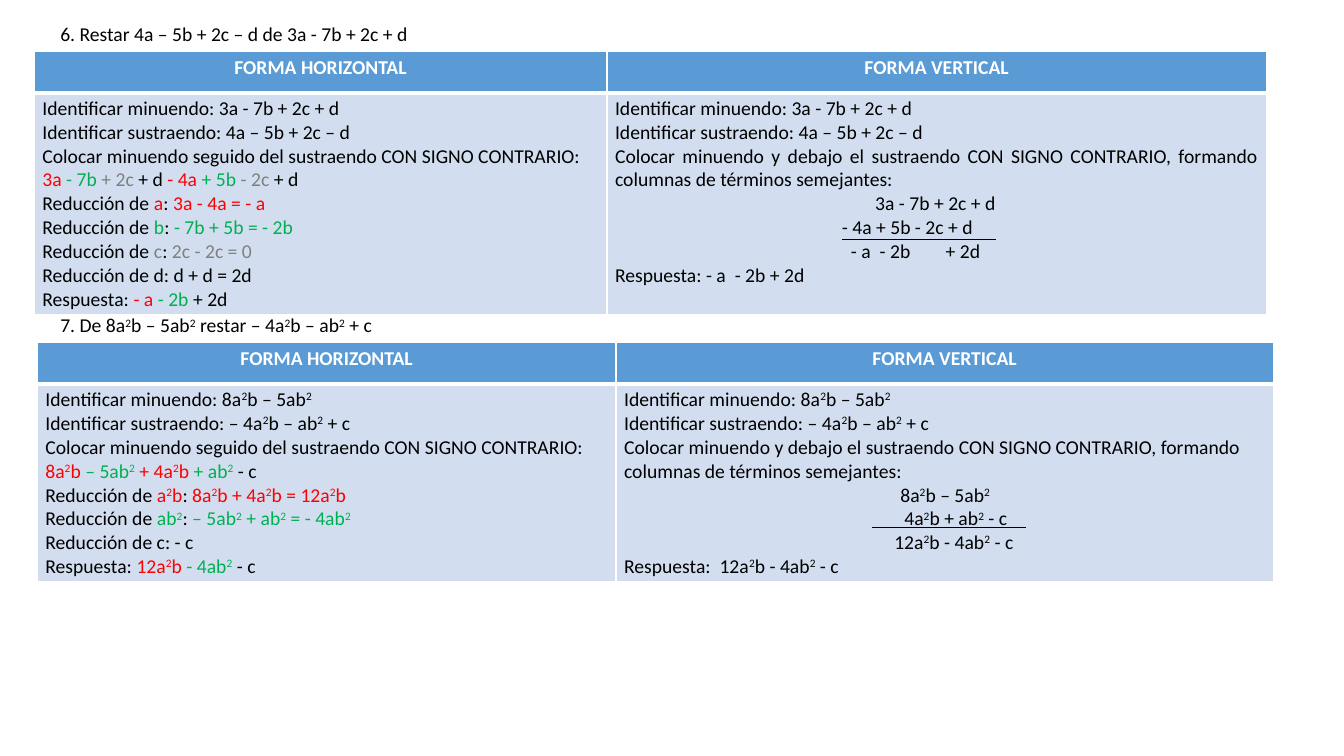
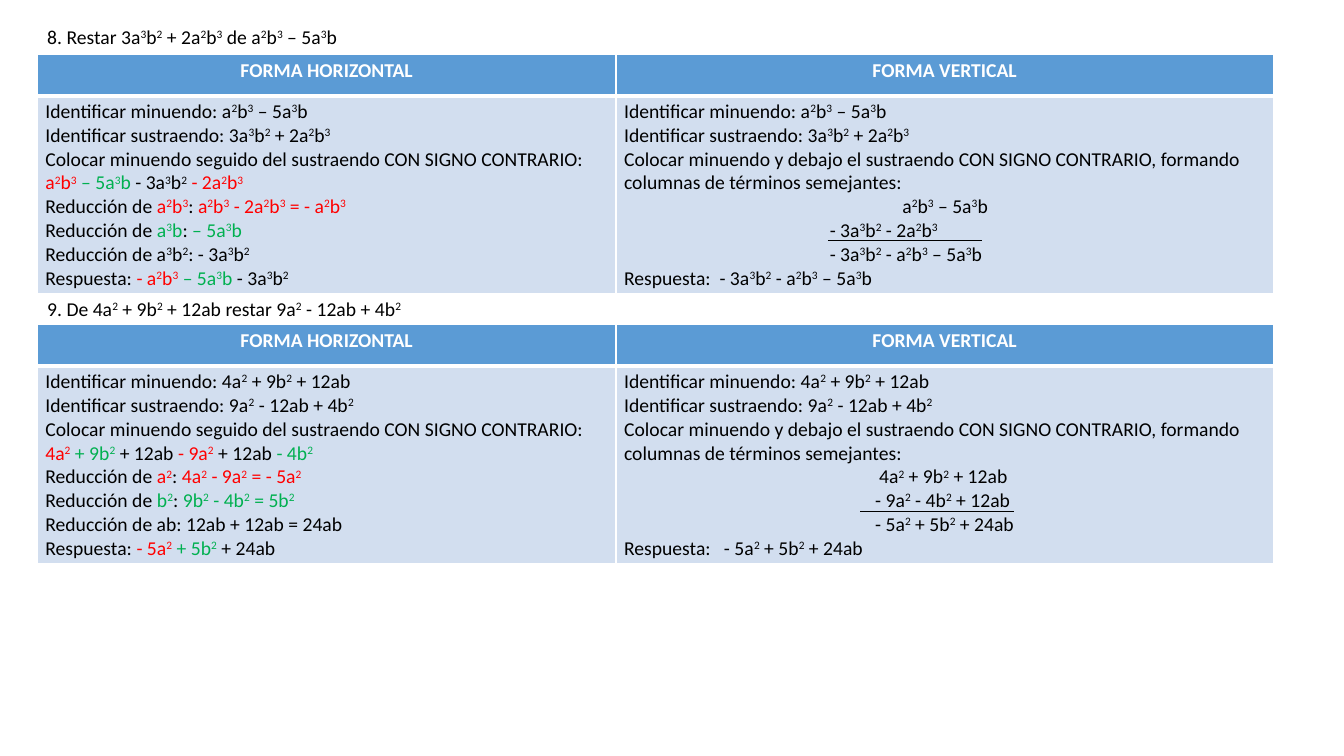
import pptx
import pptx.dml.color
import pptx.enum.text
import pptx.oxml
import pptx.oxml.ns
import pptx.util

Inches, Pt = pptx.util.Inches, pptx.util.Pt
RGBColor = pptx.dml.color.RGBColor
ALIGN = pptx.enum.text.PP_ALIGN

BLACK = RGBColor(0x00, 0x00, 0x00)
WHITE = RGBColor(0xFF, 0xFF, 0xFF)
RED = RGBColor(0xFF, 0x00, 0x00)
GREEN = RGBColor(0x00, 0xB0, 0x50)
GREY = RGBColor(0x80, 0x80, 0x80)
HEADER_FILL = RGBColor(0x5B, 0x9B, 0xD5)
BODY_FILL = RGBColor(0xD2, 0xDE, 0xEF)

FONT = {"name": "Calibri", "size": Pt(14)}
CELL_MARGINS = {
    "margin_left": Inches(0.08), "margin_right": Inches(0.08),
    "margin_top": Inches(0.04), "margin_bottom": Inches(0.03),
}
HEADERS = ["FORMA HORIZONTAL", "FORMA VERTICAL"]
HEADER_H = 0.41
RULE_W = 1.53

# Markup: [red], {green}, <grey>, and ^ before a superscript digit.
OPENING = {"[": RED, "{": GREEN, "<": GREY}
CLOSING = "]}>"

# Each line of "work" is its text and the tab stops, from the cell's text edge.
SLIDES = [
    [
        {
            "title": "6. Restar 4a – 5b + 2c – d de 3a - 7b + 2c + d",
            "title_box": (0.5, 0.17, 11.5, 0.34),
            "table": (0.34, 0.51), "cols": (5.68, 6.54), "body_h": 2.2,
            "justify": True,
            "minuend": "3a - 7b + 2c + d",
            "subtrahend": "4a – 5b + 2c – d",
            "joined": "[3a ]{- 7b }<+ 2c >+ d [- 4a ]{+ 5b }<- 2c >+ d",
            "reductions": [
                "[a]: [3a - 4a = - a]",
                "{b}: {- 7b + 5b = - 2b}",
                "<c>: <2c - 2c = 0>",
                "d: d + d = 2d",
            ],
            "answer": "[- a ]{- 2b }+ 2d",
            "work": [
                ("\t3a - 7b + 2c + d", [2.58]),
                ("\t- 4a + 5b - 2c + d", [2.25]),
                ("\t- a  - 2b\t+ 2d", [2.34, 3.28]),
            ],
            "vertical_answer": "- a  - 2b + 2d",
            "rule": (8.35, 2.37),
        },
        {
            "title": "7. De 8a^2b – 5ab^2 restar – 4a^2b – ab^2 + c",
            "title_box": (0.5, 3.06, 10.67, 0.34),
            "table": (0.37, 3.4), "cols": (5.74, 6.52), "body_h": 1.96,
            "minuend": "8a^2b – 5ab^2",
            "subtrahend": "– 4a^2b – ab^2 + c",
            "joined": "[8a^2b ]{– 5ab^2 }[+ 4a^2b ]{+ ab^2 }- c",
            "reductions": [
                "[a^2b]: [8a^2b + 4a^2b = 12a^2b]",
                "{ab^2}: {– 5ab^2 + ab^2 = - 4ab^2}",
                "c: - c",
            ],
            "answer": "[12a^2b ]{- 4ab^2 }- c",
            "work": [
                ("\t8a^2b – 5ab^2", [2.74]),
                ("\t4a^2b + ab^2 - c", [2.78]),
                ("\t12a^2b - 4ab^2 - c", [2.68]),
            ],
            "vertical_answer": " 12a^2b - 4ab^2 - c",
            "rule": (8.65, 5.23),
        },
    ],
    [
        {
            "title": "8. Restar 3a^3b^2 + 2a^2b^3 de a^2b^3 – 5a^3b",
            "title_box": (0.37, 0.2, 3.16, 0.34),
            "table": (0.37, 0.54), "cols": (5.74, 6.52), "body_h": 1.96,
            "minuend": "a^2b^3 – 5a^3b",
            "subtrahend": "3a^3b^2 + 2a^2b^3",
            "joined": "[a^2b^3 ]{– 5a^3b }- 3a^3b^2 [- 2a^2b^3]",
            "reductions": [
                "[a^2b^3]: [a^2b^3 - 2a^2b^3 = - a^2b^3]",
                "{a^3b}: {– 5a^3b}",
                "a^3b^2: - 3a^3b^2",
            ],
            "answer": "[- a^2b^3 ]{– 5a^3b }- 3a^3b^2",
            "work": [
                ("\ta^2b^3 – 5a^3b", [2.76]),
                ("\t- 3a^3b^2 - 2a^2b^3", [2.04]),
                ("\t- 3a^3b^2 - a^2b^3 – 5a^3b", [2.04]),
            ],
            "vertical_answer": " - 3a^3b^2 - a^2b^3 – 5a^3b",
            "rule": (8.21, 2.38),
        },
        {
            "title": "9. De 4a^2 + 9b^2 + 12ab restar 9a^2 - 12ab + 4b^2",
            "title_box": (0.37, 2.9, 3.77, 0.34),
            "table": (0.37, 3.22), "cols": (5.74, 6.52), "body_h": 1.96,
            "minuend": "4a^2 + 9b^2 + 12ab",
            "subtrahend": "9a^2 - 12ab + 4b^2",
            "joined": "[4a^2 ]{+ 9b^2 }+ 12ab [- 9a^2 ]+ 12ab {- 4b^2}",
            "reductions": [
                "[a^2]: [4a^2 - 9a^2 = - 5a^2]",
                "{b^2}: {9b^2 - 4b^2 = 5b^2}",
                "ab: 12ab + 12ab = 24ab",
            ],
            "answer": "[- 5a^2 ]{+ 5b^2 }+ 24ab",
            "work": [
                ("\t4a^2 + 9b^2 + 12ab", [2.53]),
                ("\t- 9a^2 - 4b^2 + 12ab", [2.49]),
                ("\t- 5a^2 + 5b^2 + 24ab", [2.49]),
            ],
            "vertical_answer": "  - 5a^2 + 5b^2 + 24ab",
            "rule": (8.53, 5.07),
        },
    ],
]


def split_markup(text):
    """Return [text, colour, is_superscript] pieces; None is the base colour."""
    pieces, color, raised = [], None, False
    for ch in text:
        if ch in OPENING:
            color = OPENING[ch]
        elif ch in CLOSING:
            color = None
        elif ch == "^":
            raised = True
        else:
            if pieces and pieces[-1][1:] == [color, raised]:
                pieces[-1][0] += ch
            else:
                pieces.append([ch, color, raised])
            raised = False
    return pieces


def write(p, text, color=BLACK, bold=False, align=ALIGN.LEFT, stops=()):
    p.alignment = align
    for piece, own_color, raised in split_markup(text):
        r = p.add_run()
        r.text = piece
        for name, value in {**FONT, "bold": bold}.items():
            setattr(r.font, name, value)
        r.font.color.rgb = own_color or color
        if raised:
            r.font._element.set("baseline", "30000")
    if stops:
        tabs = pptx.oxml.parse_xml(f'<a:tabLst {pptx.oxml.ns.nsdecls("a")}/>')
        for stop in stops:
            tabs.append(pptx.oxml.parse_xml(
                f'<a:tab {pptx.oxml.ns.nsdecls("a")} pos="{Inches(stop)}" algn="l"/>'))
        p._p.get_or_add_pPr().append(tabs)


def set_borders(cell, widths):
    """Give a cell white borders; widths are points by side, L R T B."""
    tcPr = cell._tc.get_or_add_tcPr()
    for i, (side, width) in enumerate(widths.items()):
        tcPr.insert(i, pptx.oxml.parse_xml(
            f'<a:ln{side} {pptx.oxml.ns.nsdecls("a")} w="{Pt(width)}"><a:solidFill>'
            f'<a:srgbClr val="{WHITE}"/></a:solidFill></a:ln{side}>'))


def cell_lines(ex):
    """Return the lines of both forms, each as (text, options of write)."""
    shared = [
        (f"Identificar minuendo: {ex['minuend']}", {}),
        (f"Identificar sustraendo: {ex['subtrahend']}", {}),
    ]
    horizontal = shared + [
        ("Colocar minuendo seguido del sustraendo CON SIGNO CONTRARIO:", {}),
        (ex["joined"], {}),
        *((f"Reducción de {line}", {}) for line in ex["reductions"]),
        (f"Respuesta: {ex['answer']}", {}),
    ]
    align = ALIGN.JUSTIFY if ex.get("justify") else ALIGN.LEFT
    vertical = shared + [
        ("Colocar minuendo y debajo el sustraendo CON SIGNO CONTRARIO, "
         "formando columnas de términos semejantes:", {"align": align}),
        *((line, {"stops": stops}) for line, stops in ex["work"]),
        (f"Respuesta: {ex['vertical_answer']}", {}),
    ]
    return horizontal, vertical


def fill_cell(cell, lines, fill, bottom):
    for name, value in CELL_MARGINS.items():
        setattr(cell, name, value)
    cell.fill.solid()
    cell.fill.fore_color.rgb = fill
    set_borders(cell, {"L": 1, "R": 1, "T": 1 if fill == HEADER_FILL else 3, "B": bottom})
    tf = cell.text_frame
    for i, (text, options) in enumerate(lines):
        write(tf.add_paragraph() if i else tf.paragraphs[0], text, **options)


def add_exercise(s, ex):
    tf = s.shapes.add_textbox(*map(Inches, ex["title_box"])).text_frame
    tf.word_wrap = True
    write(tf.paragraphs[0], ex["title"])

    heights = (HEADER_H, ex["body_h"])
    box = (*ex["table"], sum(ex["cols"]), sum(heights))
    table = s.shapes.add_table(2, 2, *map(Inches, box)).table
    for row, height in zip(table.rows, heights):
        row.height = Inches(height)
    header_format = {"color": WHITE, "bold": True, "align": ALIGN.CENTER}
    for i, (header, lines) in enumerate(zip(HEADERS, cell_lines(ex))):
        table.columns[i].width = Inches(ex["cols"][i])
        fill_cell(table.cell(0, i), [(header, header_format)], HEADER_FILL, 3)
        fill_cell(table.cell(1, i), lines, BODY_FILL, 1)

    x, y = ex["rule"]
    rule = s.shapes.add_connector(1, *map(Inches, (x, y, x + RULE_W, y)))
    rule.line.color.rgb = BLACK
    rule.line.width = Pt(0.5)
    rule._element.spPr.append(
        pptx.oxml.parse_xml(f'<a:effectLst {pptx.oxml.ns.nsdecls("a")}/>'))


def main():
    prs = pptx.Presentation()
    prs.slide_width, prs.slide_height = Inches(13.33), Inches(7.5)
    for exercises in SLIDES:
        s = prs.slides.add_slide(prs.slide_layouts[6])
        for ex in exercises:
            add_exercise(s, ex)
    prs.save("out.pptx")


if __name__ == "__main__":
    main()
